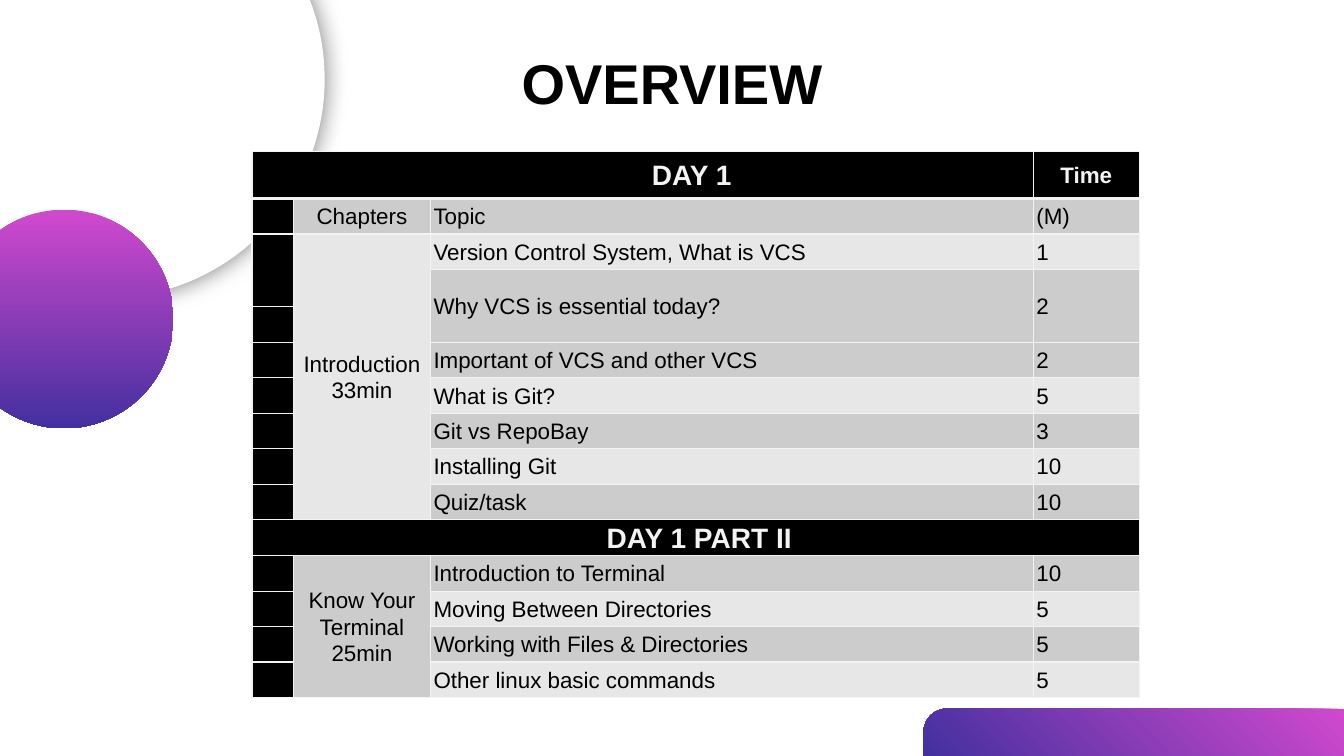
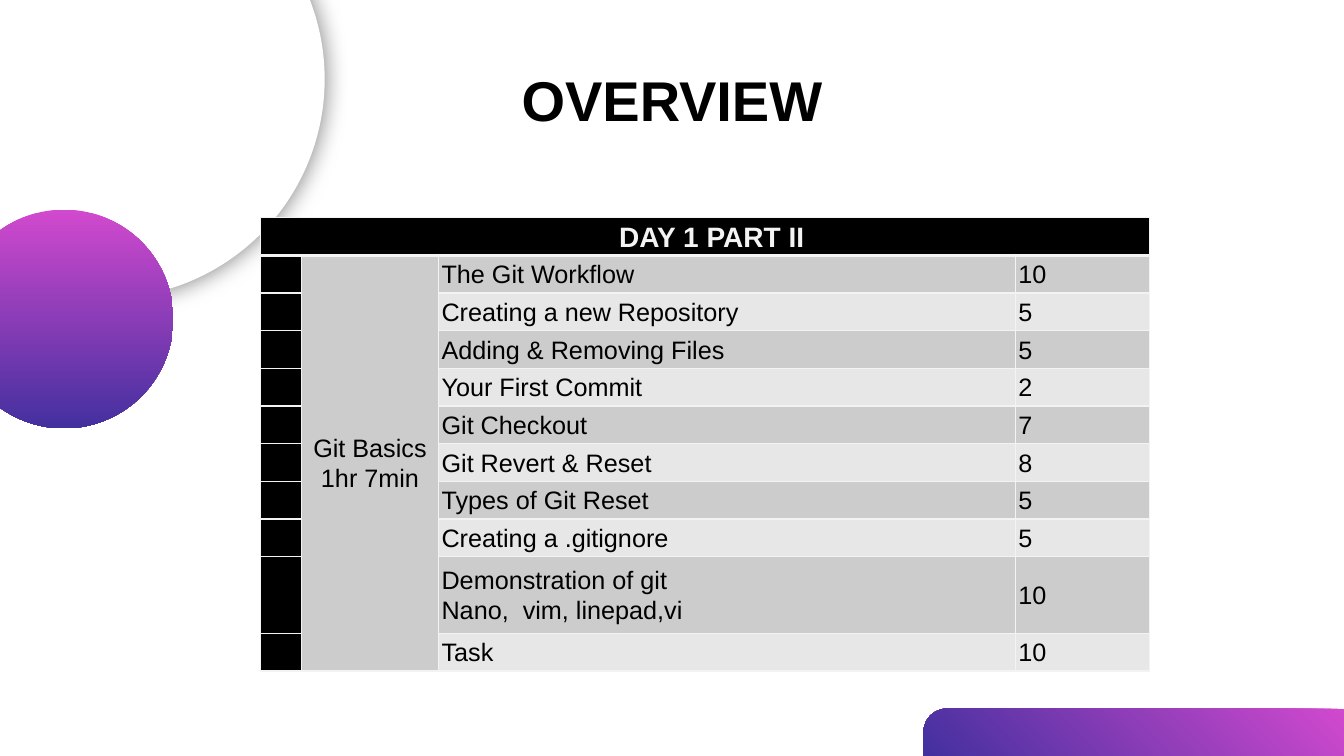
"""Build two course overview slides, each with a timetable."""
from lxml.etree import SubElement
from pptx import Presentation
from pptx.dml.color import RGBColor
from pptx.enum.shapes import MSO_SHAPE
from pptx.enum.text import MSO_ANCHOR, MSO_AUTO_SIZE, PP_ALIGN
from pptx.oxml import parse_xml
from pptx.oxml.ns import nsdecls, qn
from pptx.util import Inches, Pt

COLORS = {
    "white": "FFFFFF", "black": "000000", "pale": "F3F3F3",
    "dark_band": "CCCCCC", "light_band": "E7E7E7",
    "pink": "D149CE", "indigo": "43309F",
}
FONT = "Arial"

OVERVIEWS = [
    {
        "title": "OVERVIEW", "title_top": 0.43,
        "left": 2.5, "top": 1.5, "height": 5.42, "size": 16,
        "columns": [0.41, 1.36, 5.98, 1.05],
        "tall_rows": {0: 0.47, 3: 0.37},
        "heading_indents": {0: 1.0, 10: 0.1},
        "merges": [(0, 0, 0, 2), (2, 0, 3, 0), (2, 1, 9, 1), (3, 2, 4, 2),
                   (3, 3, 4, 3), (10, 0, 10, 3), (11, 1, 14, 1)],
        "rows": [
            ("DAY 1", "", "", "Time"),
            ("", "Chapters", "Topic", "(M)"),
            ("", "Introduction\n33min", "Version Control System, What is VCS", "1"),
            ("", "", "Why VCS is essential today?", "2"),
            ("", "", "", ""),
            ("", "", "Important of VCS and other VCS", "2"),
            ("", "", "What is Git?", "5"),
            ("", "", "Git vs RepoBay", "3"),
            ("", "", "Installing Git", "10"),
            ("", "", "Quiz/task", "10"),
            ("DAY 1 PART II", "", "", ""),
            ("", "Know Your Terminal\n25min", "Introduction to Terminal", "10"),
            ("", "", "Moving Between Directories", "5"),
            ("", "", "Working with Files & Directories", "5"),
            ("", "", "Other linux basic commands", "5"),
        ],
    },
    {
        "title": "OVERVIEW", "title_top": 0.6,
        "left": 2.58, "top": 2.16, "height": 4.5, "size": 18,
        "columns": [0.41, 1.36, 5.72, 1.33],
        "tall_rows": {9: 0.76},
        "heading_indents": {0: 0.17},
        "merges": [(0, 0, 0, 3), (1, 1, 10, 1)],
        "rows": [
            ("DAY 1 PART II", "", "", ""),
            ("", "Git Basics\n1hr 7min", "The Git Workflow", "10"),
            ("", "", "Creating a new Repository", "5"),
            ("", "", "Adding & Removing Files", "5"),
            ("", "", "Your First Commit", "2"),
            ("", "", "Git Checkout", "7"),
            ("", "", "Git Revert & Reset", "8"),
            ("", "", "Types of Git Reset", "5"),
            ("", "", "Creating a .gitignore", "5"),
            ("", "", "Demonstration of git\nNano,  vim, linepad,vi", "10"),
            ("", "", "Task", "10"),
        ],
    },
]


def rgb(name):
    return RGBColor.from_string(COLORS[name])


def write(paragraph, text, size, color, bold=False, align=PP_ALIGN.LEFT):
    paragraph.alignment = align
    run = paragraph.add_run()
    run.text = text
    font = run.font
    font.name, font.size, font.bold = FONT, Pt(size), bold
    font.color.rgb = rgb(color)


def add_decoration(slide, preset, box, angle=None):
    decoration = slide.shapes.add_shape(preset, *map(Inches, box))
    decoration.shadow.inherit = False
    decoration.line.fill.background()
    if angle is None:
        decoration.fill.solid()
        decoration.fill.fore_color.rgb = rgb("white")
    else:
        decoration.fill.gradient()
        decoration.fill.gradient_angle = angle
        for stop, name in zip(decoration.fill.gradient_stops, ("pink", "indigo")):
            stop.color.rgb = rgb(name)
    return decoration


def add_backdrop(slide):
    corner = add_decoration(slide, MSO_SHAPE.ROUND_1_RECTANGLE, (9.16, 7.03, 4.17, 0.47), 315)
    corner.adjustments[0] = 0.5
    corner.element.spPr.find(qn("a:xfrm")).set("flipH", "1")
    white_disc = add_decoration(slide, MSO_SHAPE.OVAL, (-1.13, -1.39, 4.35, 4.35))
    white_disc.element.spPr.find(qn("a:effectLst")).append(parse_xml(
        f'<a:outerShdw {nsdecls("a")} blurRad="{Pt(16.9)}" dist="0" dir="0" rotWithShape="0">'
        f'<a:srgbClr val="{COLORS["black"]}"><a:alpha val="50000"/></a:srgbClr></a:outerShdw>'))
    add_decoration(slide, MSO_SHAPE.OVAL, (-0.45, 2.08, 2.17, 2.17), 270)


def add_title(slide, text, top):
    title = slide.shapes.add_textbox(Inches(3.98), Inches(top), Inches(5.37), Inches(0.77))
    title.text_frame.word_wrap = True
    title.text_frame.auto_size = MSO_AUTO_SIZE.SHAPE_TO_FIT_TEXT
    write(title.text_frame.paragraphs[0], text, 40, "black", True, PP_ALIGN.CENTER)


def set_borders(cell, row):
    widths = {"lnL": 1, "lnR": 1, "lnT": 3 if row == 1 else 1, "lnB": 3 if row == 0 else 1}
    properties = cell._tc.get_or_add_tcPr()
    for position, (side, width) in enumerate(widths.items()):
        border = parse_xml(f'<a:{side} {nsdecls("a")} w="{Pt(width)}"/>')
        fill = SubElement(border, qn("a:solidFill"))
        SubElement(fill, qn("a:srgbClr")).set("val", COLORS["pale"])
        properties.insert(position, border)


def fill_cell(cell, text, row, column, overview):
    heading = row in overview["heading_indents"]
    band = "dark_band" if row % 2 else "light_band"
    cell.fill.solid()
    cell.fill.fore_color.rgb = rgb("black" if heading or column == 0 else band)
    set_borders(cell, row)
    cell.vertical_anchor = MSO_ANCHOR.MIDDLE
    cell.margin_top = cell.margin_bottom = 0
    cell.margin_left = cell.margin_right = Inches(0.03)
    if heading and column == 0:
        cell.margin_left = Inches(overview["heading_indents"][row])
    if not text:
        return
    size = 20 if heading and column == 0 else overview["size"]
    align = PP_ALIGN.CENTER if heading or column == 1 else PP_ALIGN.LEFT
    frame = cell.text_frame
    for number, line in enumerate(text.split("\n")):
        paragraph = frame.add_paragraph() if number else frame.paragraphs[0]
        paragraph.line_spacing = 1.07
        write(paragraph, line, size, "pale" if heading else "black", heading, align)


def add_timetable(slide, overview):
    rows, columns, tall = overview["rows"], overview["columns"], overview["tall_rows"]
    timetable = slide.shapes.add_table(
        len(rows), len(columns), Inches(overview["left"]), Inches(overview["top"]),
        Inches(sum(columns)), Inches(overview["height"])).table
    timetable.first_row = timetable.horz_banding = False
    for column, width in zip(timetable.columns, columns):
        column.width = Inches(width)
    usual = (overview["height"] - sum(tall.values())) / (len(rows) - len(tall))
    for row, texts in enumerate(rows):
        timetable.rows[row].height = Inches(tall.get(row, usual))
        for column, text in enumerate(texts):
            fill_cell(timetable.cell(row, column), text, row, column, overview)
    for top, left, bottom, right in overview["merges"]:
        timetable.cell(top, left).merge(timetable.cell(bottom, right))


def main():
    deck = Presentation()
    deck.slide_width, deck.slide_height = Inches(13.33), Inches(7.5)
    for overview in OVERVIEWS:
        slide = deck.slides.add_slide(deck.slide_layouts[6])
        add_backdrop(slide)
        add_title(slide, overview["title"], overview["title_top"])
        add_timetable(slide, overview)
    deck.save("out.pptx")


if __name__ == "__main__":
    main()
